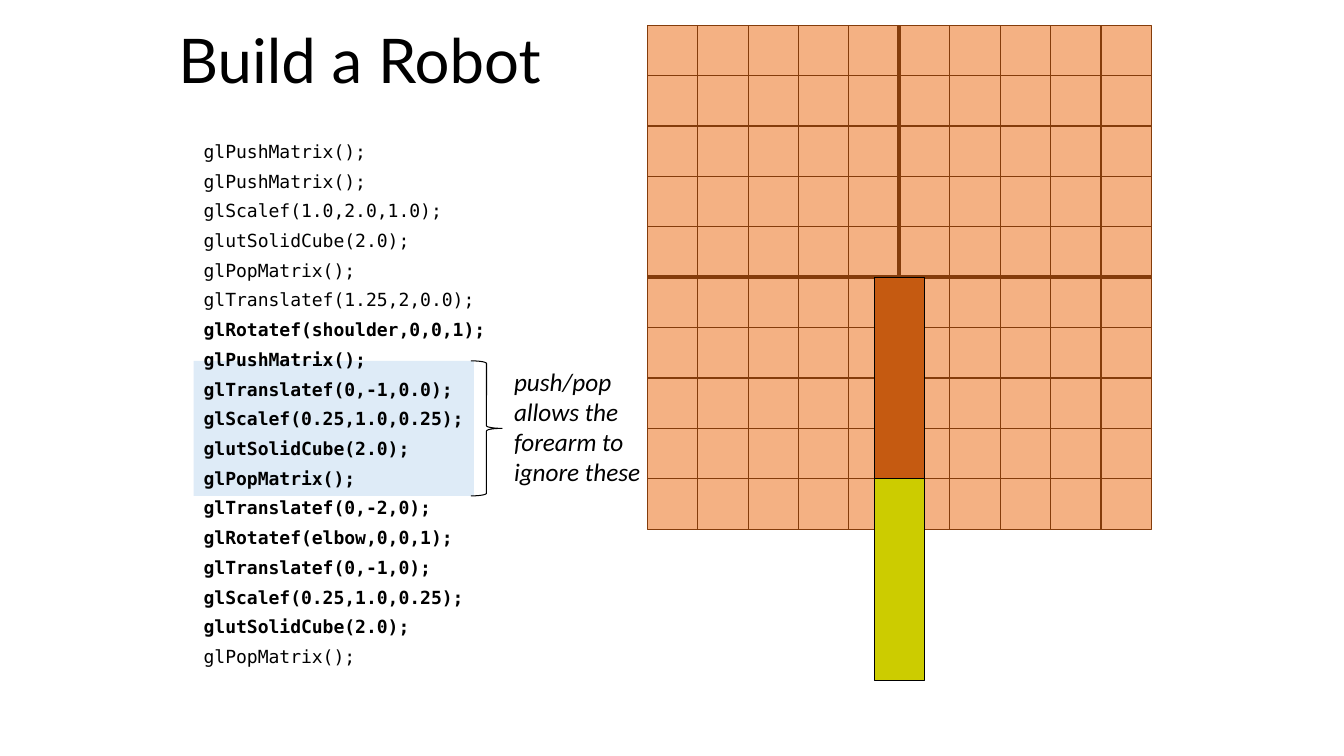
from dataclasses import dataclass

from lxml import etree
from pptx import Presentation
from pptx.dml.color import RGBColor
from pptx.enum.shapes import MSO_CONNECTOR, MSO_SHAPE
from pptx.enum.text import MSO_ANCHOR, MSO_AUTO_SIZE, PP_ALIGN
from pptx.oxml.ns import qn
from pptx.util import Inches, Pt

RECTANGLE = MSO_SHAPE.RECTANGLE
RIGHT_BRACE = MSO_SHAPE.RIGHT_BRACE
STRAIGHT = MSO_CONNECTOR.STRAIGHT
TOP, LEFT, BOTTOM, RIGHT = range(4)

BLACK = RGBColor(0x00, 0x00, 0x00)
PALE_BLUE = RGBColor(0xDE, 0xEB, 0xF7)
PEACH = RGBColor(0xF4, 0xB1, 0x83)
BROWN = RGBColor(0x84, 0x3C, 0x0B)
ORANGE = RGBColor(0xC5, 0x5A, 0x11)
YELLOW = RGBColor(0xCC, 0xCC, 0x00)

GRID_LEFT, GRID_TOP, GRID_SIZE = 6.42, 0.25, 5
CELL = 0.5
CELL_COUNT = 10
THIN, THICK = 0.75, 3

CODE = [
    "glPushMatrix();",
    "glPushMatrix();",
    "glScalef(1.0,2.0,1.0);",
    "glutSolidCube(2.0);",
    "glPopMatrix();",
    "glTranslatef(1.25,2,0.0);",
    "glRotatef(shoulder,0,0,1);",
    "glPushMatrix();",
    "glTranslatef(0,-1,0.0);",
    "glScalef(0.25,1.0,0.25);",
    "glutSolidCube(2.0);",
    "glPopMatrix();",
    "glTranslatef(0,-2,0);",
    "glRotatef(elbow,0,0,1);",
    "glTranslatef(0,-1,0);",
    "glScalef(0.25,1.0,0.25);",
    "glutSolidCube(2.0);",
    "glPopMatrix();",
]
BOLD_LINES = range(6, 17)


@dataclass
class Block:
    left: float
    top: float
    width: float
    height: float
    fill: RGBColor | None
    line: RGBColor | None = None
    preset: MSO_SHAPE = RECTANGLE


HIGHLIGHT = Block(1.92, 3.58, 2.78, 1.34, PALE_BLUE)
BRACE = Block(4.67, 3.58, 0.31, 1.34, None, BLACK, RIGHT_BRACE)
GRID = Block(GRID_LEFT, GRID_TOP, GRID_SIZE, GRID_SIZE, PEACH, BROWN)
FOREARM = Block(8.67, 4.75, 0.5, 2, YELLOW, BLACK)
UPPER_ARM = Block(8.67, 2.75, 0.5, 2, ORANGE, BLACK)


def add_block(page, block: Block):
    shape = page.shapes.add_shape(
        block.preset, Inches(block.left), Inches(block.top),
        Inches(block.width), Inches(block.height))
    shape.shadow.inherit = False
    if block.fill is None:
        shape.fill.background()
    else:
        shape.fill.solid()
        shape.fill.fore_color.rgb = block.fill
    if block.line is None:
        shape.line.fill.background()
    else:
        shape.line.color.rgb = block.line
        shape.line.width = Pt(THIN)
    return shape


def add_grid_line(page, x1: float, y1: float, x2: float, y2: float, width: float):
    line = page.shapes.add_connector(
        STRAIGHT, Inches(x1), Inches(y1), Inches(x2), Inches(y2))
    line.line.color.rgb = BROWN
    line.line.width = Pt(width)
    etree.SubElement(line.element.spPr, qn("a:effectLst"))
    return line


def add_grid(page) -> None:
    square = add_block(page, GRID)
    right, bottom = GRID_LEFT + GRID_SIZE, GRID_TOP + GRID_SIZE
    for index in range(1, CELL_COUNT):
        is_axis = index == CELL_COUNT // 2
        width = THICK if is_axis else THIN
        x, y = GRID_LEFT + index * CELL, GRID_TOP + index * CELL
        column = add_grid_line(page, x, GRID_TOP, x, bottom, width)
        row = add_grid_line(page, GRID_LEFT, y, right, y, width)
        if is_axis:
            column.begin_connect(square, TOP)
            column.end_connect(square, BOTTOM)
            row.begin_connect(square, LEFT)
            row.end_connect(square, RIGHT)


def place(box, left: float, top: float, width: float, height: float) -> None:
    box.left, box.top = Inches(left), Inches(top)
    box.width, box.height = Inches(width), Inches(height)
    box.text_frame.word_wrap = True
    box.text_frame.auto_size = MSO_AUTO_SIZE.NONE


def style_text(paragraph, font_name: str, size: float, bold=False, italic=False) -> None:
    paragraph.alignment = PP_ALIGN.LEFT
    for span in paragraph.runs:
        span.font.name = font_name
        span.font.size = Pt(size)
        span.font.bold = bold
        span.font.italic = italic
        span.font.color.rgb = BLACK


def fill_title(title) -> None:
    place(title, 1.67, 0.13, 9.75, 1)
    title.text_frame.vertical_anchor = MSO_ANCHOR.MIDDLE
    title.text_frame.text = "Build a Robot"
    para = title.text_frame.paragraphs[0]
    para.line_spacing = 0.9
    style_text(para, "Lato", 44)


def fill_code(body) -> None:
    place(body, 1.92, 1.4, 9.44, 5.35)
    body.text_frame.vertical_anchor = MSO_ANCHOR.TOP
    body.text_frame.text = "\n".join(CODE)
    for index, para in enumerate(body.text_frame.paragraphs):
        para.line_spacing = 0.7
        para.space_before = Pt(10.4)
        style_text(para, "DejaVu Sans Mono", 12.9, bold=index in BOLD_LINES)
        properties = para._p.get_or_add_pPr()
        properties.set("marL", str(Inches(0.25)))
        properties.set("indent", str(Inches(-0.25)))
        etree.SubElement(properties, qn("a:buNone"))


def add_note(page) -> None:
    note = page.shapes.add_textbox(0, 0, 0, 0)
    place(note, 5, 3.58, 1.5, 1.31)
    note.text_frame.text = "push/pop allows the forearm to ignore these"
    style_text(note.text_frame.paragraphs[0], "Calibri", 18, italic=True)


def main() -> None:
    deck = Presentation()
    deck.slide_width, deck.slide_height = Inches(13.33), Inches(7.5)
    page = deck.slides.add_slide(deck.slide_layouts[1])
    title, body = page.placeholders

    # Highlight and brace sit behind the code
    for block in (HIGHLIGHT, BRACE):
        title.element.addprevious(add_block(page, block).element)

    # Title and code listing
    fill_title(title)
    fill_code(body)

    # Grid with the robot arm and its note
    add_grid(page)
    add_block(page, FOREARM)
    add_note(page)
    add_block(page, UPPER_ARM)

    deck.save("out.pptx")


if __name__ == "__main__":
    main()
